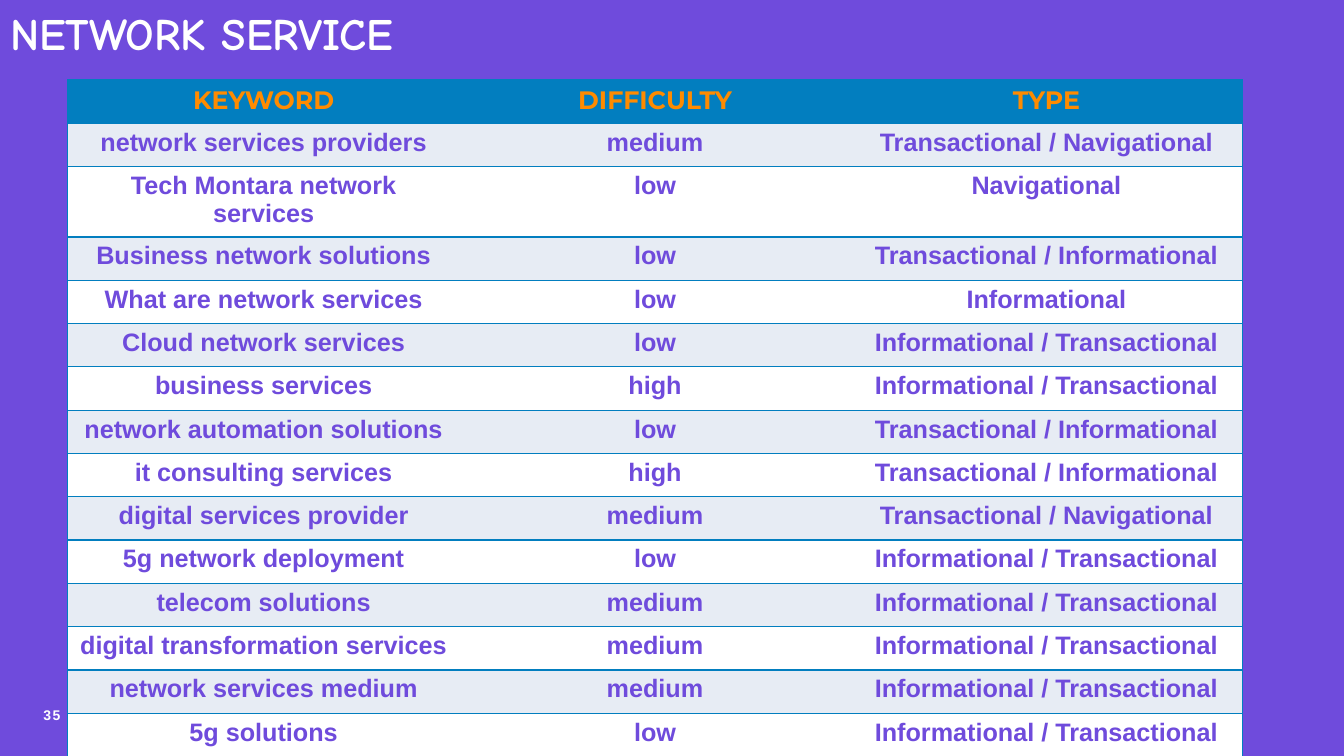
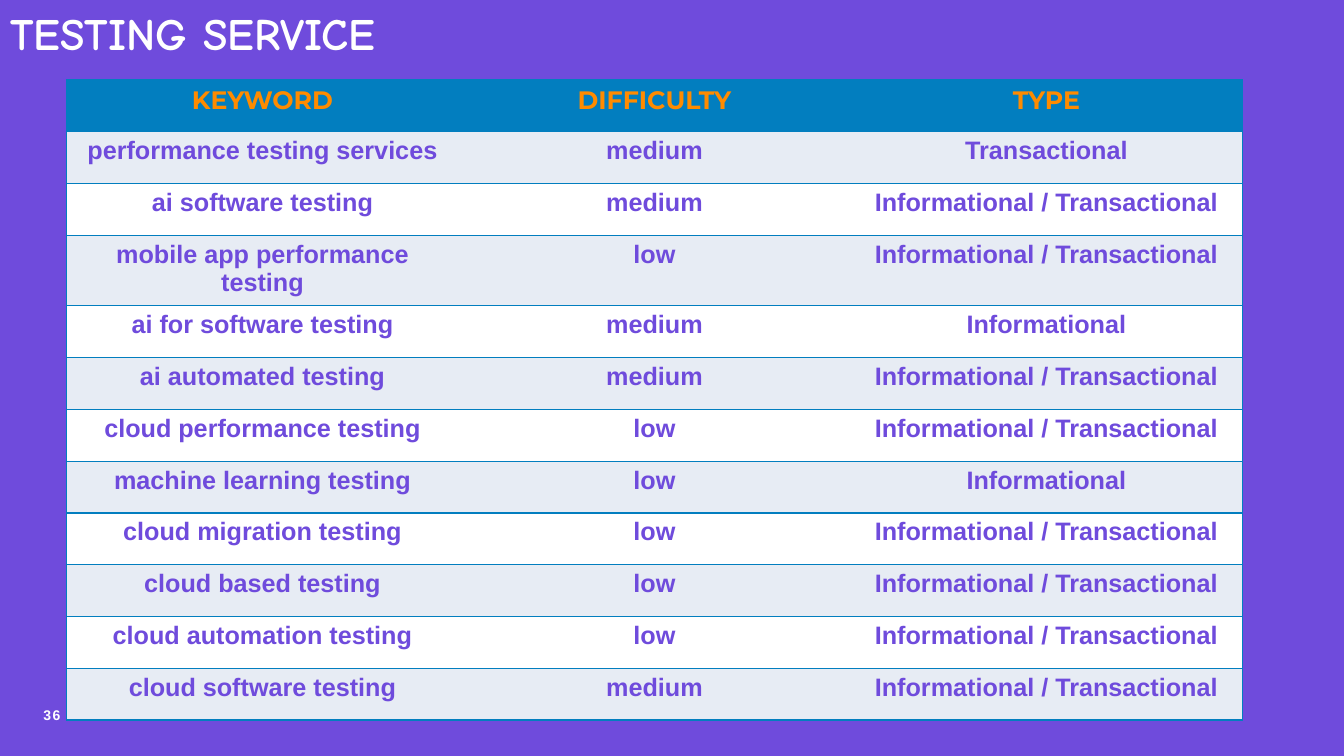
from pptx import Presentation
from pptx.dml.color import RGBColor
from pptx.enum.text import MSO_ANCHOR as Anchor, PP_ALIGN as Align
from pptx.oxml.ns import qn
from pptx.util import Pt
from lxml.etree import SubElement

COLORS = {
    "purple": "6F4BDC",
    "blue": "027EBF",
    "orange": "FF8B00",
    "pale": "E7ECF4",
    "white": "FFFFFF",
}
HEADINGS = ("KEYWORD", "DIFFICULTY", "TYPE")
INFO = "Informational"
TRANS = "Transactional"
NAV = "Navigational"
INFO_TRANS = f"{INFO} / {TRANS}"
TRANS_INFO = f"{TRANS} / {INFO}"
TRANS_NAV = f"{TRANS} / {NAV}"

NETWORK_KEYWORDS = [
    ("network services providers", "medium", TRANS_NAV),
    ("Tech Montara network services", "low", NAV),
    ("Business network solutions", "low", TRANS_INFO),
    ("What are network services", "low", INFO),
    ("Cloud network services", "low", INFO_TRANS),
    ("business services", "high", INFO_TRANS),
    ("network automation solutions", "low", TRANS_INFO),
    ("it consulting services", "high", TRANS_INFO),
    ("digital services provider", "medium", TRANS_NAV),
    ("5g network deployment", "low", INFO_TRANS),
    ("telecom solutions", "medium", INFO_TRANS),
    ("digital transformation services", "medium", INFO_TRANS),
    ("network services medium", "medium", INFO_TRANS),
    ("5g solutions", "low", INFO_TRANS),
]
TESTING_KEYWORDS = [
    ("performance testing services", "medium", TRANS),
    ("ai software testing", "medium", INFO_TRANS),
    ("mobile app performance testing", "low", INFO_TRANS),
    ("ai for software testing", "medium", INFO),
    ("ai automated testing", "medium", INFO_TRANS),
    ("cloud performance testing", "low", INFO_TRANS),
    ("machine learning testing", "low", INFO),
    ("cloud migration testing", "low", INFO_TRANS),
    ("cloud based testing", "low", INFO_TRANS),
    ("cloud automation testing", "low", INFO_TRANS),
    ("cloud software testing", "medium", INFO_TRANS),
]


def rgb(color):
    return RGBColor.from_string(COLORS[color])


def write(frame, text, size, font, color, align=Align.LEFT):
    paragraph = frame.paragraphs[0]
    paragraph.alignment = align
    run = paragraph.add_run()
    run.text = text
    run.font.size = Pt(size)
    run.font.name = font
    run.font.bold = True
    run.font.color.rgb = rgb(color)
    return run


def add_title(slide, text):
    title = slide.shapes.title
    title.left, title.top, title.width, title.height = Pt(0), Pt(0), Pt(363), Pt(46)
    title.text_frame.word_wrap = True
    title.text_frame.vertical_anchor = Anchor.MIDDLE
    write(title.text_frame, text, 32, "Comic Neue", "white")


def add_page_number(slide, number):
    frame = slide.shapes.add_textbox(Pt(24), Pt(501), Pt(47), Pt(20)).text_frame
    frame.word_wrap = True
    frame.vertical_anchor = Anchor.MIDDLE
    run = write(frame, str(number), 10, "Arial", "white")
    run.font._element.set("spc", "100")


def set_borders(cell, visible_sides):
    properties = cell._tc.get_or_add_tcPr()
    for side in "LRTB":
        line = SubElement(properties, qn(f"a:ln{side}"), w=str(Pt(1)))
        if side in visible_sides:
            fill = SubElement(line, qn("a:solidFill"))
            SubElement(fill, qn("a:srgbClr"), val=COLORS["blue"])
        else:
            SubElement(line, qn("a:noFill"))


def add_keyword_table(slide, keywords, left, column_width, row_height):
    rows = [HEADINGS, *keywords]
    columns = len(HEADINGS)
    table = slide.shapes.add_table(
        len(rows), columns, Pt(left), Pt(57),
        Pt(column_width * columns), Pt(row_height * len(rows)),
    ).table
    for column in table.columns:
        column.width = Pt(column_width)
    outer_sides = {0: "LTB", columns - 1: "RTB"}
    for r, row in enumerate(rows):
        if r == 0:
            background, font, color = "blue", "Montserrat", "orange"
        else:
            background = "pale" if r % 2 else "white"
            font, color = "Arial", "purple"
        for c, text in enumerate(row):
            cell = table.cell(r, c)
            set_borders(cell, outer_sides.get(c, "TB"))
            cell.fill.solid()
            cell.fill.fore_color.rgb = rgb(background)
            write(cell.text_frame, text, 18, font, color, Align.CENTER)


def add_keyword_slide(prs, title, number, keywords, left, column_width, row_height):
    slide = prs.slides.add_slide(prs.slide_layouts.get_by_name("Title Only"))
    add_title(slide, title)
    add_page_number(slide, number)
    add_keyword_table(slide, keywords, left, column_width, row_height)


def main():
    prs = Presentation()
    prs.slide_width, prs.slide_height = Pt(960), Pt(540)
    background = prs.slide_master.background.fill
    background.solid()
    background.fore_color.rgb = rgb("purple")
    add_keyword_slide(prs, "NETWORK SERVICE", 35, NETWORK_KEYWORDS, 48.5, 279.6, 30.95)
    add_keyword_slide(prs, "TESTING SERVICE", 36, TESTING_KEYWORDS, 47.5, 280, 37)
    prs.save("out.pptx")


if __name__ == "__main__":
    main()
